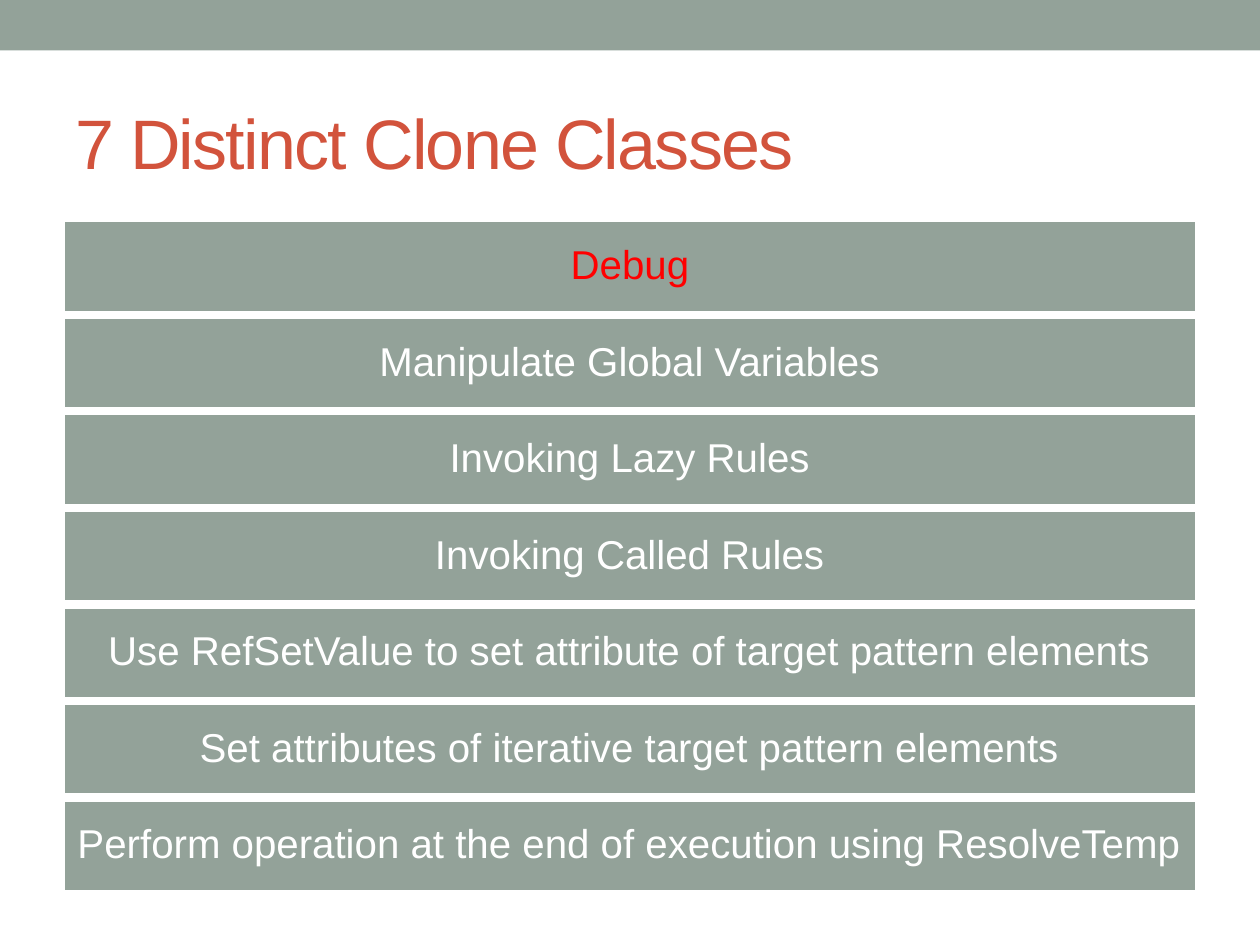
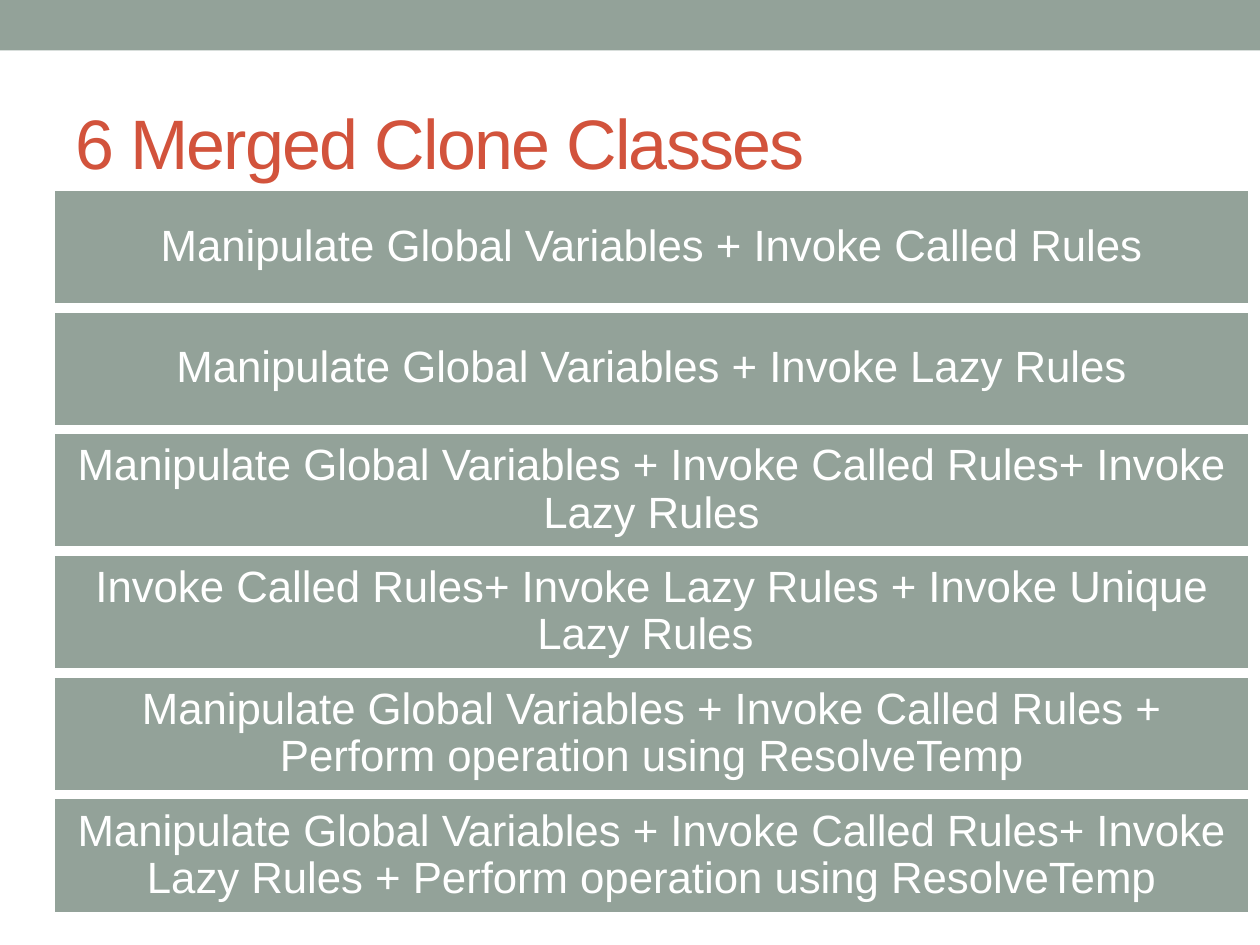
from dataclasses import dataclass

from pptx import Presentation
from pptx.dml.color import RGBColor
from pptx.enum.shapes import MSO_SHAPE
from pptx.enum.text import MSO_ANCHOR, PP_ALIGN
from pptx.shapes.autoshape import Shape
from pptx.slide import Slide
from pptx.util import Inches, Pt

COLORS = {"sage": "93A299", "rust": "D2533C", "red": "FF0000", "white": "FFFFFF"}
FONT = "Arial"
GAP_RATIO = 0.05  # gap between bars as a share of bar height


@dataclass
class BarStack:
    """A column of equal bars, one for each clone class."""

    left: float
    top: float
    width: float
    bar_height: float
    margin: float
    size: int
    labels: list[str]
    highlighted: str = ""


def write_text(shape: Shape, text: str, *, size: int, color: str,
               align: PP_ALIGN = PP_ALIGN.LEFT, line_spacing: float = 1.0,
               tracking: int = 0, margins: tuple[float, float] = (0.1, 0.05)) -> None:
    """Put one formatted, vertically centred paragraph into a shape."""
    frame = shape.text_frame
    frame.word_wrap = True
    frame.vertical_anchor = MSO_ANCHOR.MIDDLE
    frame.margin_left = frame.margin_right = Inches(margins[0])
    frame.margin_top = frame.margin_bottom = Inches(margins[1])
    paragraph = frame.paragraphs[0]
    paragraph.alignment = align
    paragraph.line_spacing = line_spacing
    run = paragraph.add_run()
    run.text = text
    run.font.name = FONT
    run.font.size = Pt(size)
    run.font.color.rgb = RGBColor.from_string(COLORS[color])
    if tracking:
        run.font._element.set("spc", str(tracking * 100))


def add_bar(slide: Slide, left: float, top: float, width: float, height: float,
            outlined: bool = True) -> Shape:
    """Draw a sage rectangle, with a white outline if asked."""
    bar = slide.shapes.add_shape(MSO_SHAPE.RECTANGLE, Inches(left), Inches(top),
                                 Inches(width), Inches(height))
    bar.shadow.inherit = False
    bar.fill.solid()
    bar.fill.fore_color.rgb = RGBColor.from_string(COLORS["sage"])
    if outlined:
        bar.line.color.rgb = RGBColor.from_string(COLORS["white"])
        bar.line.width = Pt(2.08)
    else:
        bar.line.fill.background()
    return bar


def add_stack(slide: Slide, stack: BarStack) -> None:
    """Draw the labelled bars at an equal pitch."""
    pitch = stack.bar_height * (1 + GAP_RATIO)
    for index, label in enumerate(stack.labels):
        bar = add_bar(slide, stack.left, stack.top + index * pitch,
                      stack.width, stack.bar_height)
        write_text(bar, label, size=stack.size, align=PP_ALIGN.CENTER,
                   color="red" if label == stack.highlighted else "white",
                   line_spacing=0.9, margins=(stack.margin, stack.margin))


def add_clone_slide(presentation: Presentation, title: str, stack: BarStack) -> None:
    """Add a slide with the top band, a title and a stack of bars."""
    slide = presentation.slides.add_slide(presentation.slide_layouts[6])
    add_bar(slide, 0, 0, 10, 0.4, outlined=False)
    title_box = slide.shapes.add_textbox(Inches(0.5), Inches(0.58), Inches(9), Inches(1.08))
    write_text(title_box, title, size=40, color="rust", tracking=-1)
    add_stack(slide, stack)


DISTINCT_CLASSES = BarStack(
    left=0.5, top=1.75, width=9, bar_height=0.73, margin=0.06, size=23,
    highlighted="Debug",
    labels=[
        "Debug",
        "Manipulate Global Variables",
        "Invoking Lazy Rules",
        "Invoking Called Rules",
        "Use RefSetValue to set attribute of target pattern elements",
        "Set attributes of iterative target pattern elements",
        "Perform operation at the end of execution using ResolveTemp",
    ],
)

MERGED_CLASSES = BarStack(
    left=0.42, top=1.5, width=9.5, bar_height=0.92, margin=0.07, size=25,
    labels=[
        "Manipulate Global Variables + Invoke Called Rules",
        "Manipulate Global Variables + Invoke Lazy Rules",
        "Manipulate Global Variables + Invoke Called Rules+ Invoke Lazy Rules",
        "Invoke Called Rules+ Invoke Lazy Rules + Invoke Unique Lazy Rules ",
        "Manipulate Global Variables + Invoke Called Rules + "
        "Perform operation using ResolveTemp",
        "Manipulate Global Variables + Invoke Called Rules+ Invoke Lazy Rules + "
        "Perform operation using ResolveTemp",
    ],
)


def main() -> None:
    """Build both slides and save the file."""
    presentation = Presentation()
    presentation.slide_width = Inches(10)
    presentation.slide_height = Inches(7.5)
    add_clone_slide(presentation, "7 Distinct Clone Classes", DISTINCT_CLASSES)
    add_clone_slide(presentation, "6 Merged Clone Classes", MERGED_CLASSES)
    presentation.save("out.pptx")


main()
